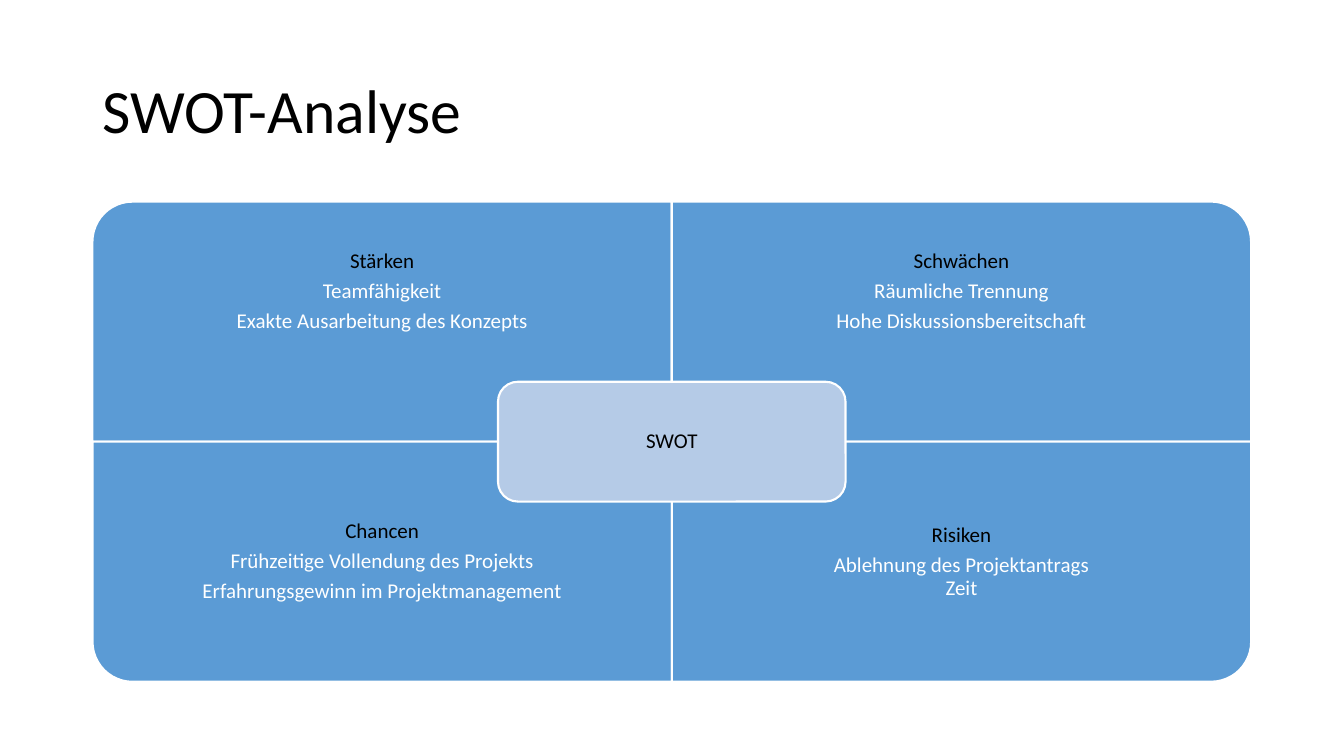
from lxml.etree import SubElement
from pptx import Presentation
from pptx.dml.color import RGBColor
from pptx.enum.shapes import MSO_SHAPE as SHAPE
from pptx.enum.text import MSO_ANCHOR as ANCHOR, PP_ALIGN as ALIGN
from pptx.oxml.ns import qn
from pptx.util import Cm, Pt

BLACK, WHITE, BLUE, PALE_BLUE = "000000", "FFFFFF", "5B9BD5", "B5CBE7"

# All lengths in cm
SLIDE_W, SLIDE_H = 33.87, 19.05
MID_X, MID_Y = 16.93, 11.13
QUAD_W, QUAD_H = 14.6, 6.05
HUB_W, HUB_H = 8.76, 3.02
TEXT_H = QUAD_H - HUB_H / 2

# Column, row, rotation, bottom inset, heading, points
QUADRANTS = [
    (0, 0, 270, 0.3, "Stärken",
     ["Teamfähigkeit", "Exakte Ausarbeitung des Konzepts"]),
    (1, 0, 0, 0.3, "Schwächen",
     ["Räumliche Trennung", "Hohe Diskussionsbereitschaft"]),
    (0, 1, 180, 1.8, "Chancen",
     ["Frühzeitige Vollendung des Projekts",
      "Erfahrungsgewinn im Projektmanagement"]),
    (1, 1, 90, 1.8, "Risiken",
     ["Ablehnung des Projektantrags\nZeit"]),
]


def rgb(color):
    return RGBColor.from_string(color)


def write(p, text, size=15, color=BLACK, align=ALIGN.CENTER, after=5.25):
    p.text = text
    p.alignment = align
    p.line_spacing = 0.9
    p.space_after = Pt(after)
    for r in p.runs:
        r.font.name = "Calibri"
        r.font.size = Pt(size)
        r.font.color.rgb = rgb(color)
    # Line breaks need the text size too, or they stretch the line
    for br in p._p.findall(qn("a:br")):
        SubElement(br, qn("a:rPr")).set("sz", str(size * 100))


def set_frame(tf, inset, bottom=None):
    tf.word_wrap = True
    tf.vertical_anchor = ANCHOR.MIDDLE
    tf.margin_left = tf.margin_right = tf.margin_top = Cm(inset)
    tf.margin_bottom = Cm(inset if bottom is None else bottom)


def add_panel(s, kind, center_x, center_y, w, h, fill, rotation=0):
    sp = s.shapes.add_shape(kind, Cm(center_x - w / 2), Cm(center_y - h / 2),
                            Cm(w), Cm(h))
    sp.rotation = rotation
    sp.shadow.inherit = False
    sp.fill.solid()
    sp.fill.fore_color.rgb = rgb(fill)
    sp.line.color.rgb = rgb(WHITE)
    sp.line.width = Pt(1.5)
    return sp


def add_quadrant(s, col, row, rotation, bottom, heading, points):
    left = MID_X + (col - 1) * QUAD_W
    top = MID_Y + (row - 1) * QUAD_H
    # A quarter turn swaps width and height
    w, h = (QUAD_H, QUAD_W) if rotation % 180 else (QUAD_W, QUAD_H)
    add_panel(s, SHAPE.ROUND_1_RECTANGLE, left + QUAD_W / 2, top + QUAD_H / 2,
              w, h, BLUE, rotation)

    # The text keeps clear of the hub
    text_top = top + row * HUB_H / 2
    tf = s.shapes.add_textbox(Cm(left), Cm(text_top),
                              Cm(QUAD_W), Cm(TEXT_H)).text_frame
    set_frame(tf, 0.3, bottom)
    write(tf.paragraphs[0], heading)
    for point in points:
        write(tf.add_paragraph(), point, color=WHITE)


def add_hub(s, text):
    sp = add_panel(s, SHAPE.ROUNDED_RECTANGLE, MID_X, MID_Y,
                   HUB_W, HUB_H, PALE_BLUE)
    set_frame(sp.text_frame, 0.15)
    write(sp.text_frame.paragraphs[0], text)


def set_title(s, text):
    sp = s.shapes.title
    sp.left, sp.top, sp.width, sp.height = Cm(2.33), Cm(1.01), Cm(29.21), Cm(3.68)
    sp.text_frame.vertical_anchor = ANCHOR.MIDDLE
    write(sp.text_frame.paragraphs[0], text, size=44, align=ALIGN.LEFT, after=0)


def main():
    prs = Presentation()
    prs.slide_width, prs.slide_height = Cm(SLIDE_W), Cm(SLIDE_H)
    s = prs.slides.add_slide(prs.slide_layouts[5])

    set_title(s, "SWOT-Analyse")
    for quadrant in QUADRANTS:
        add_quadrant(s, *quadrant)
    add_hub(s, "SWOT")

    prs.save("out.pptx")


if __name__ == "__main__":
    main()
